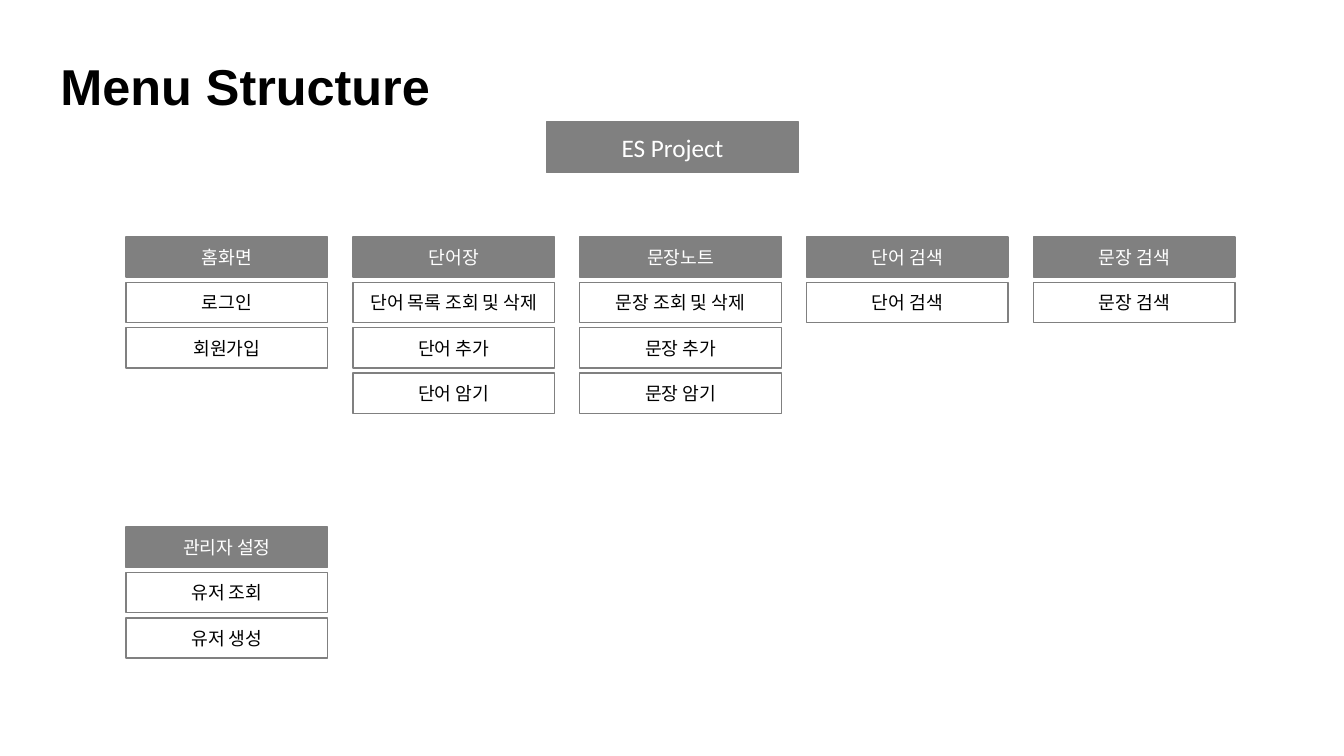
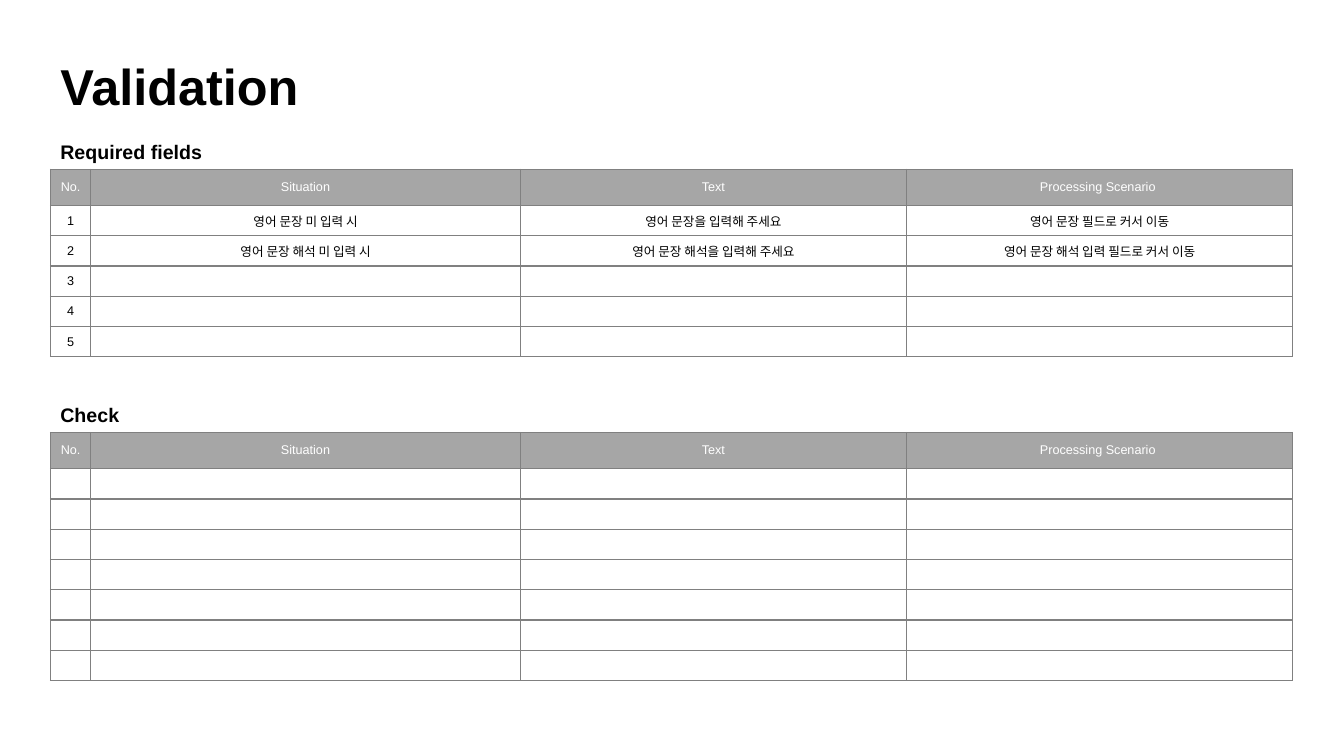
from lxml.etree import SubElement
from pptx import Presentation
from pptx.dml.color import RGBColor
from pptx.enum.shapes import MSO_SHAPE as Shape
from pptx.enum.text import MSO_ANCHOR as Anchor, MSO_AUTO_SIZE as Auto, PP_ALIGN as Align
from pptx.oxml.ns import qn
from pptx.util import Inches, Pt

GRAY, SILVER, WHITE, BLACK = "808080", "A6A6A6", "FFFFFF", "000000"
hue = RGBColor.from_string


def write(frame, text, size, face, color, bold=False, align=Align.CENTER):
    frame.text = text
    para = frame.paragraphs[0]
    para.alignment = align
    for run in para.runs:
        run.font.size = Pt(size)
        run.font.name = face
        run.font.bold = bold
        run.font.color.rgb = hue(color)
    if not text:
        SubElement(para._p, qn("a:endParaRPr"), sz=str(size * 100))


def box(shapes, text, left, top, width, height, size, solid):
    item = shapes.add_shape(
        Shape.RECTANGLE, Inches(left), Inches(top), Inches(width), Inches(height))
    item.shadow.inherit = False
    item.line.color.rgb = hue(GRAY)
    item.line.width = Pt(1)
    if solid:
        item.fill.solid()
        item.fill.fore_color.rgb = hue(GRAY)
    else:
        item.fill.background()
    item.text_frame.vertical_anchor = Anchor.MIDDLE
    write(item.text_frame, text, size, "Calibri", WHITE if solid else BLACK)


deck = Presentation()
deck.slide_width = Inches(13.33)
deck.slide_height = Inches(7.5)

slides = []
for name, width in [("Menu Structure", 3.9), ("Validation", 2.59)]:
    slide = deck.slides.add_slide(deck.slide_layouts[5])
    title = slide.shapes.title
    title.left, title.top = Inches(0.5), Inches(0.5)
    title.width, title.height = Inches(width), Inches(0.71)
    frame = title.text_frame
    frame.word_wrap = False
    frame.auto_size = Auto.SHAPE_TO_FIT_TEXT
    frame.vertical_anchor = Anchor.TOP
    write(frame, name, 36, "Arial", BLACK, True, Align.LEFT)
    slides.append(slide)
menu, rules = slides

box(menu.shapes, "ES Project", 5.42, 1.21, 2.5, 0.5, 18, True)

groups = [
    (0, 2.35, ["홈화면", "로그인", "회원가입"]),
    (1, 2.35, ["단어장", "단어 목록 조회 및 삭제", "단어 추가", "단어 암기"]),
    (2, 2.35, ["문장노트", "문장 조회 및 삭제", "문장 추가", "문장 암기"]),
    (3, 2.35, ["단어 검색", "단어 검색"]),
    (4, 2.35, ["문장 검색", "문장 검색"]),
    (0, 5.23, ["관리자 설정", "유저 조회", "유저 생성"]),
]
for col, top, items in groups:
    group = menu.shapes.add_group_shape()
    for i, text in enumerate(items):
        box(group.shapes, text, 1.25 + 2.25 * col, top + 0.45 * i, 2, 0.4, 13, i == 0)

HEAD = ["No.", "Situation", "Text", "Processing Scenario "]
WIDTHS = [0.4, 4.26, 3.83, 3.83]
BLANK = [""] * 3
fields = [
    ["1", "영어 문장 미 입력 시", "영어 문장을 입력해 주세요", "영어 문장 필드로 커서 이동"],
    ["2", "영어 문장 해석 미 입력 시", "영어 문장 해석을 입력해 주세요",
     "영어 문장 해석 입력 필드로 커서 이동"],
    ["3", *BLANK],
    ["4", *BLANK],
    ["5", *BLANK],
]
checks = [["", *BLANK] for _ in range(7)]

for name, width, top, body in [
    ("Required fields", 1.67, 1.68, fields),
    ("Check", 0.79, 4.29, checks),
]:
    label = rules.shapes.add_textbox(
        Inches(0.5), Inches(top - 0.34), Inches(width), Inches(0.34))
    label.text_frame.word_wrap = False
    label.text_frame.auto_size = Auto.SHAPE_TO_FIT_TEXT
    write(label.text_frame, name, 14, "Arial", BLACK, True, Align.LEFT)

    rows = [HEAD, *body]
    table = rules.shapes.add_table(
        len(rows), len(HEAD), Inches(0.5), Inches(top),
        Inches(sum(WIDTHS)), Inches(0.36 + 0.3 * len(body))).table
    table.horz_banding = False
    table.first_row = False
    for col, width in zip(table.columns, WIDTHS):
        col.width = Inches(width)
    for r, row in enumerate(rows):
        table.rows[r].height = Inches(0.3 if r else 0.36)
        for c, text in enumerate(row):
            cell = table.cell(r, c)
            cell.vertical_anchor = Anchor.MIDDLE
            cell.margin_left = cell.margin_right = Inches(0.05)
            write(cell.text_frame, text, 9, "Arial", BLACK if r else WHITE)
            for side in "LRTB":
                edge = SubElement(cell._tc.get_or_add_tcPr(), qn(f"a:ln{side}"), w=str(Pt(1)))
                SubElement(SubElement(edge, qn("a:solidFill")), qn("a:srgbClr"), val=GRAY)
            cell.fill.solid()
            cell.fill.fore_color.rgb = hue(WHITE if r else SILVER)

deck.save("out.pptx")
